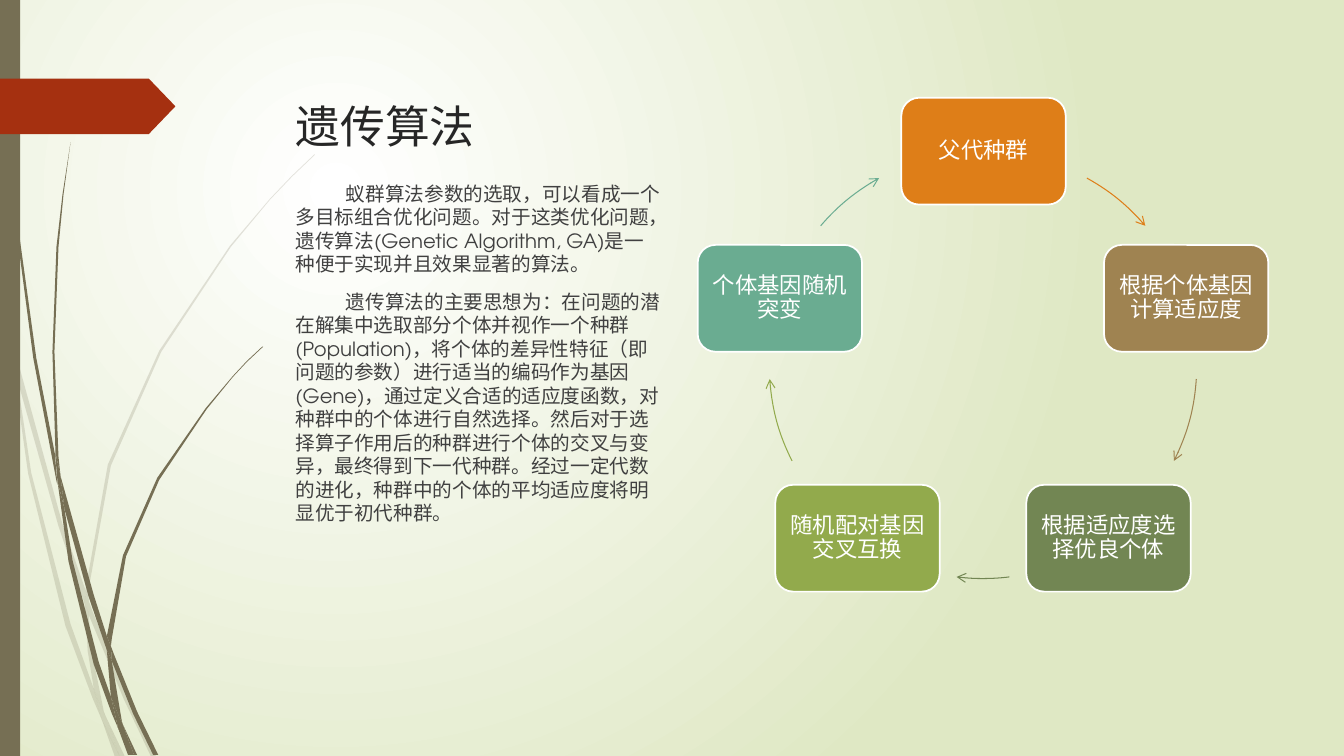
from dataclasses import dataclass

from lxml import etree
from pptx import Presentation
from pptx.dml.color import RGBColor
from pptx.enum.shapes import MSO_SHAPE
from pptx.enum.text import MSO_ANCHOR, MSO_AUTO_SIZE, PP_ALIGN
from pptx.oxml.ns import qn
from pptx.shapes.autoshape import Shape
from pptx.slide import Slide
from pptx.text.text import TextFrame, _Paragraph
from pptx.util import Pt
from math import cos, radians, sin

PX = 9144  # 100 px to the inch
FONT = "TeX Gyre Adventor"
RECT = MSO_SHAPE.RECTANGLE
ROUND = MSO_SHAPE.ROUNDED_RECTANGLE
TAG = MSO_SHAPE.PENTAGON
ARC = MSO_SHAPE.ARC
LEFT, CENTER = PP_ALIGN.LEFT, PP_ALIGN.CENTER
TOP, MIDDLE, BOTTOM = MSO_ANCHOR.TOP, MSO_ANCHOR.MIDDLE, MSO_ANCHOR.BOTTOM

HUES = {
    "white": "FFFFFF", "pale": "DFE8C4", "stem": "766F54", "tag": "A53010",
    "title": "262626", "body": "404040", "orange": "DE7E18", "tan": "9F8351",
    "moss": "728653", "lime": "92AA4C", "teal": "6AAC91",
}


@dataclass(frozen=True)
class Step:
    """One stage of the cycle; its arrow runs between two angles in degrees."""
    text: str
    hue: str
    start: float
    end: float


STEPS = (
    Step("父代种群", "orange", 299.1, 319.4),
    Step("根据个体基因计算适应度", "tan", 3.8, 26.7),
    Step("根据适应度选择优良个体", "moss", 82.9, 97.1),
    Step("随机配对基因交叉互换", "lime", 153.3, 176.2),
    Step("个体基因随机突变", "teal", 220.6, 240.9),
)
HUB_X, HUB_Y, RADIUS = 975, 362, 212
BOX_W, BOX_H = 163, 106

BODY = (
    "蚁群算法参数的选取，可以看成一个多目标组合优化问题。对于这类优化问题，"
    "遗传算法(Genetic Algorithm, GA)是一种便于实现并且效果显著的算法。",
    "遗传算法的主要思想为：在问题的潜在解集中选取部分个体并视作一个种群(Population)，"
    "将个体的差异性特征（即问题的参数）进行适当的编码作为基因(Gene)，"
    "通过定义合适的适应度函数，对种群中的个体进行自然选择。"
    "然后对于选择算子作用后的种群进行个体的交叉与变异，最终得到下一代种群。"
    "经过一定代数的进化，种群中的个体的平均适应度将明显优于初代种群。",
)

# Corner points of each blade, "x,y" in px
PALE_BLADES = (
    "11,350 9,322 0,282 0,299 10,344",
    "58,522 84,599 85,586 62,520 14,345 17,376",
    "92,607 88,596 88,610 123,694 150,751 155,751 127,692",
    "119,751 124,751 105,711",
    "93,683 70,619 31,469 17,376 11,350 28,470 65,621 92,693 101,714 99,707",
    "84,599 87,646 93,683 96,692 105,711 103,706 91,646 88,610 88,608",
    "88,584 110,462 160,349 229,245 268,198 290,175 312,154 312,153 289,175 "
    "268,197 228,244 158,348 107,461 85,584 85,586 88,596",
    "101,714 114,751 119,751",
    "88,608 88,610 88,596 85,586 84,599",
    "96,692 93,683 99,707 101,714 119,751 105,711",
)
DARK_BLADES = (
    "7,110 17,233 33,355 56,477 57,481 55,457 55,453 36,355 19,232 8,109 "
    "5,48 4,0 3,0 4,48",
    "88,592 106,645 106,633 106,631 93,590 60,472 64,505",
    "113,649 110,641 111,656 132,708 152,749 157,749 136,706",
    "110,691 98,657 72,556 64,505 57,477 68,557 93,659 111,708 117,722 116,717",
    "60,472 58,453 54,349 58,245 63,193 70,141 62,193 56,245 52,349 55,449",
    "133,749 136,749 122,719",
    "57,477 64,505 60,472 55,449 55,453",
    "111,633 125,552 158,476 205,406 231,374 245,359 261,344 260,344 245,358 "
    "231,373 204,405 156,474 122,551 106,631 110,641",
    "117,722 127,749 131,749",
    "106,645 110,691 116,706 122,719 121,716 111,656 109,651",
    "106,645 109,651 111,656 110,641 106,631 106,633",
    "116,706 110,691 116,717 117,722 130,749 133,749 122,719",
)


def tint(name: str) -> RGBColor:
    return RGBColor.from_string(HUES[name])


def paint(shape: Shape, hue: str) -> None:
    """Flat fill with no line and no shadow."""
    shape.shadow.inherit = False
    shape.fill.solid()
    shape.fill.fore_color.rgb = tint(hue)
    shape.line.fill.background()


def place(shape: Shape, x: int, y: int, w: int, h: int) -> None:
    shape.left, shape.top, shape.width, shape.height = (n * PX for n in (x, y, w, h))


def add_form(slide: Slide, kind: int, x: int, y: int, w: int, h: int) -> Shape:
    return slide.shapes.add_shape(kind, x * PX, y * PX, w * PX, h * PX)


def write(para: _Paragraph, text: str, size: int, hue: str) -> None:
    run = para.add_run()
    run.text = text
    run.font.name = FONT
    run.font.size = Pt(size)
    run.font.color.rgb = tint(hue)


def set_frame(frame: TextFrame, anchor: int, side: int, edge: int) -> None:
    frame.auto_size = MSO_AUTO_SIZE.NONE
    frame.word_wrap = True
    frame.vertical_anchor = anchor
    frame.margin_left = frame.margin_right = side * PX
    frame.margin_top = frame.margin_bottom = edge * PX


def set_back(slide: Slide) -> None:
    """Round gradient from white to pale green."""
    fill = slide.background.fill
    fill.gradient()
    for stop, hue, spot in zip(fill.gradient_stops, ("white", "pale"), (0, 1)):
        stop.color.rgb = tint(hue)
        stop.position = spot
    grad = next(slide.element.iter(qn("a:gradFill")))
    grad.remove(grad.find(qn("a:lin")))
    ring = etree.SubElement(grad, qn("a:path"), {"path": "circle"})
    etree.SubElement(ring, qn("a:fillToRect"),
                     {"l": "50000", "t": "50000", "r": "100000", "b": "100000"})


def add_blade(slide: Slide, blade: str, alpha: int) -> None:
    spots = [tuple(map(int, pair.split(","))) for pair in blade.split()]
    pen = slide.shapes.build_freeform(*spots[0], scale=PX)
    pen.add_line_segments(spots[1:], close=True)
    shape = pen.convert_to_shape()
    paint(shape, "stem")
    if alpha < 100:
        color = shape.fill._xPr.find(qn("a:solidFill"))[0]
        etree.SubElement(color, qn("a:alpha"), val=str(alpha * 1000))


def add_step(slide: Slide, step: Step, angle: float) -> None:
    """Draw a stage box on the ring and the arrow to the next one."""
    mid_x = HUB_X + RADIUS * cos(radians(angle))
    mid_y = HUB_Y + RADIUS * sin(radians(angle))
    box = add_form(slide, ROUND, round(mid_x - BOX_W / 2), round(mid_y - BOX_H / 2),
                   BOX_W, BOX_H)
    paint(box, step.hue)
    box.line.color.rgb = tint("white")
    box.line.width = Pt(1.25)
    set_frame(box.text_frame, MIDDLE, 7, 7)
    para = box.text_frame.paragraphs[0]
    para.alignment = CENTER
    para.line_spacing = 0.9
    write(para, step.text, 16, "white")

    arc = add_form(slide, ARC, HUB_X - RADIUS, HUB_Y - RADIUS, 2 * RADIUS, 2 * RADIUS)
    arc.shadow.inherit = False
    arc.adjustments[0], arc.adjustments[1] = step.start * 0.6, step.end * 0.6
    arc.fill.background()
    arc.line.color.rgb = tint(step.hue)
    arc.line.width = Pt(0.75)
    etree.SubElement(arc.line._get_or_add_ln(), qn("a:tailEnd"), type="arrow")


def add_words(slide: Slide) -> None:
    title, body = slide.placeholders
    place(title, 283, 49, 383, 107)
    set_frame(title.text_frame, BOTTOM, 10, 5)
    head = title.text_frame.paragraphs[0]
    head.alignment = LEFT
    write(head, "遗传算法", 32, "title")

    place(body, 283, 175, 383, 466)
    frame = body.text_frame
    set_frame(frame, TOP, 10, 5)
    for i, text in enumerate(BODY):
        para = frame.add_paragraph() if i else frame.paragraphs[0]
        para.alignment = LEFT
        para.space_before = Pt(10)
        props = para._p.get_or_add_pPr()
        props.set("marL", "0")
        props.set("indent", str(50 * PX))
        etree.SubElement(props, qn("a:buNone"))
        write(para, text, 14, "body")


def main() -> None:
    deck = Presentation()
    deck.slide_width, deck.slide_height = 1333 * PX, 750 * PX
    slide = deck.slides.add_slide(deck.slide_layouts[1])
    set_back(slide)
    for blades, alpha in ((PALE_BLADES, 20), (DARK_BLADES, 100)):
        for blade in blades:
            add_blade(slide, blade, alpha)
    paint(add_form(slide, RECT, 0, 0, 20, 750), "stem")
    tag = add_form(slide, TAG, 0, 78, 174, 55)
    tag.adjustments[0] = 0.48
    paint(tag, "tag")
    add_words(slide)
    for i, step in enumerate(STEPS):
        add_step(slide, step, 72 * i - 90)
    deck.save("out.pptx")


if __name__ == "__main__":
    main()
